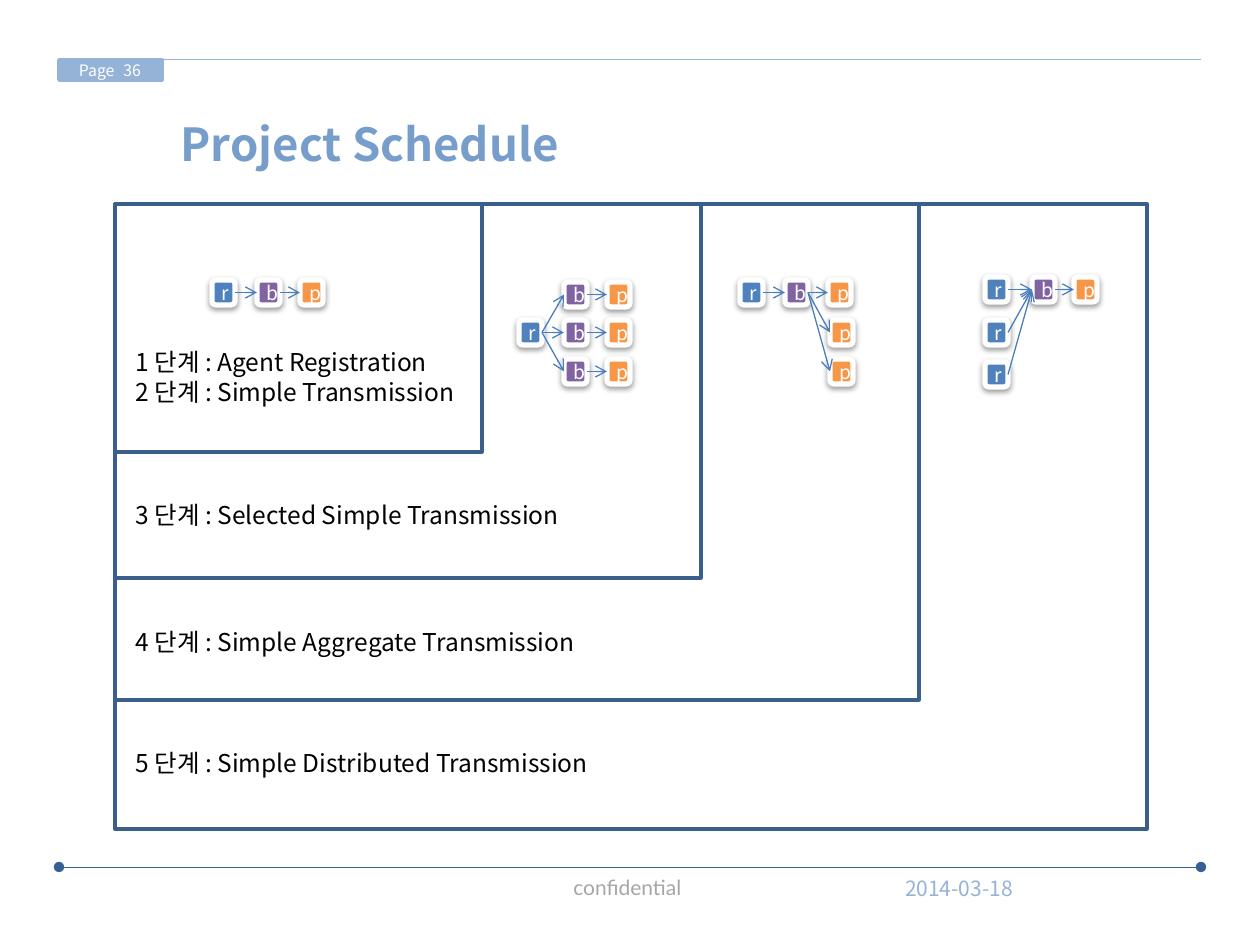
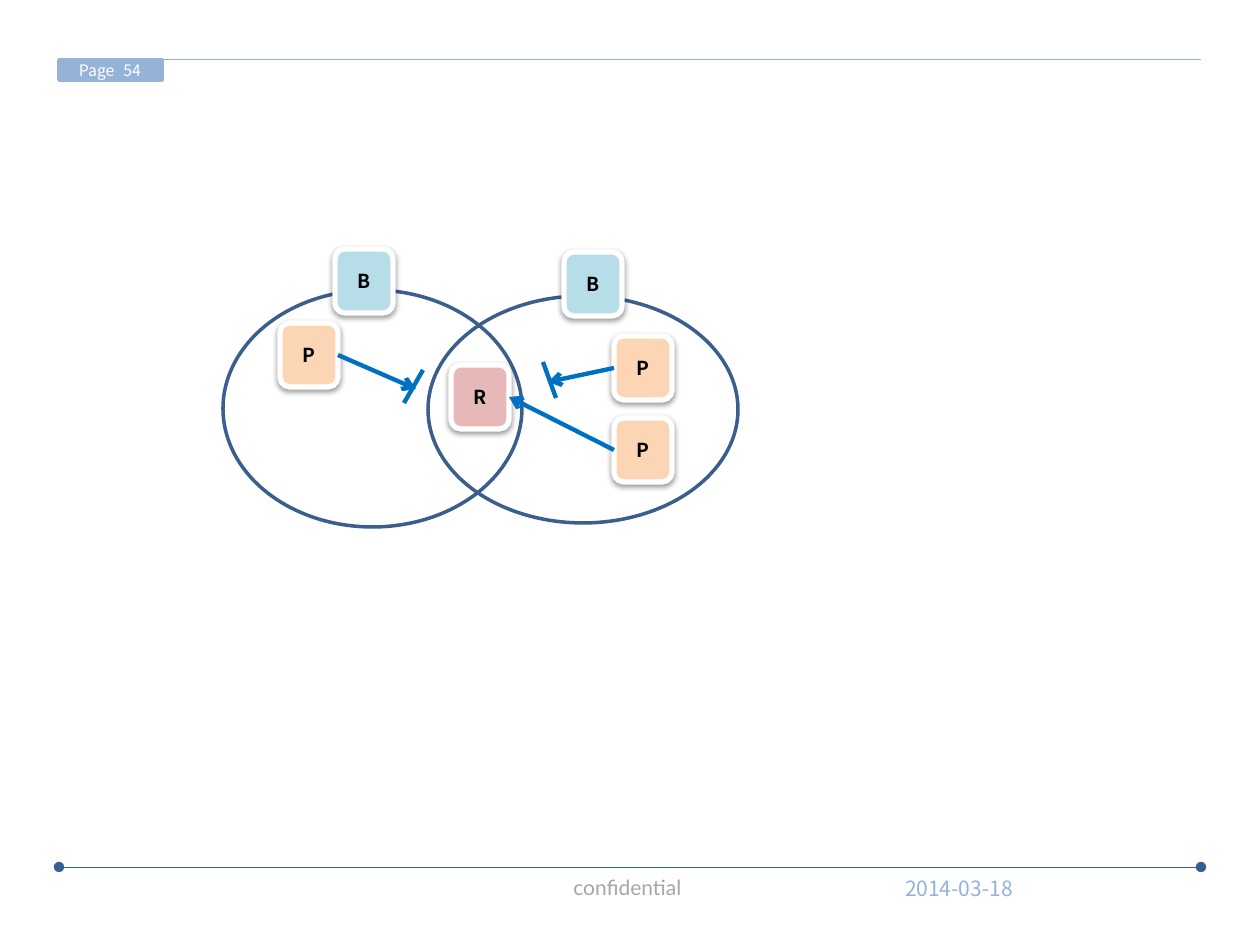
"""Build two slides: the project schedule and the overlapping broker areas."""
from itertools import product

from lxml import etree
from pptx import Presentation
from pptx.dml.color import RGBColor
from pptx.enum.shapes import MSO_CONNECTOR, MSO_SHAPE
from pptx.enum.text import MSO_ANCHOR, MSO_AUTO_SIZE, PP_ALIGN
from pptx.oxml.ns import qn
from pptx.util import Pt

RECT, ROUND, OVAL = MSO_SHAPE.RECTANGLE, MSO_SHAPE.ROUNDED_RECTANGLE, MSO_SHAPE.OVAL
STRAIGHT = MSO_CONNECTOR.STRAIGHT
TOP, MIDDLE = MSO_ANCHOR.TOP, MSO_ANCHOR.MIDDLE
LEFT, CENTER = PP_ALIGN.LEFT, PP_ALIGN.CENTER
FIXED = MSO_AUTO_SIZE.NONE
LSIDE, RSIDE = 1, 3

SCALE = 914400 / 126
SANS, LATO = "Noto Sans CJK KR", "Lato"
HEX = {
    "white": "FFFFFF", "black": "000000", "grey": "A6A6A6", "band": "95B3D7",
    "rule": "376092", "title": "779DCB", "frame": "3A5F8C", "wire": "4B7EBC",
    "bold": "0070C0", "r": "4F81BD", "b": "8064A2", "p": "F79646",
    "B": "B7DEE8", "R": "E6B9B8", "P": "FCD5B5",
}
SMALL, LARGE = (23, 25), (58, 64)
FRAMES = [(367, 248), (586, 374), (804, 496), (1032, 625)]
STAGES = [
    (341, 72, ["1 단계 : Agent Registration", "2 단계 : Simple Transmission"]),
    (493, 43, ["3 단계 : Selected Simple Transmission"]),
    (620, 43, ["4 단계 : Simple Aggregate Transmission"]),
    (741, 43, ["5 단계 : Simple Distributed Transmission"]),
]
FLOWS = [
    {"r": [(212, 280)], "b": [(257, 280)], "p": [(300, 280)]},
    {"r": [(519, 320)], "b": [(564, y) for y in (282, 320, 359)],
     "p": [(607, y) for y in (282, 320, 359)]},
    {"r": [(740, 280)], "b": [(785, 280)], "p": [(828, 280), (830, 320), (830, 359)]},
    {"r": [(985, y) for y in (277, 320, 362)], "b": [(1032, 277)], "p": [(1074, 277)]},
]


def px(*nums):
    """Turn px lengths into EMU."""
    return [round(n * SCALE) for n in nums]


def rgb(name):
    """Look up a colour by name."""
    return RGBColor.from_string(HEX[name])


def put(item, values):
    """Set each attribute in a dict of format values."""
    for key, value in values.items():
        setattr(item, key, value)


def write(frame, lines, size, color, font=SANS, bold=False, align=LEFT,
          space=None, **form):
    """Fill a text frame with one paragraph per line."""
    put(frame, {"word_wrap": True, "vertical_anchor": MIDDLE, **form})
    for i, line in enumerate(lines):
        para = frame.add_paragraph() if i else frame.paragraphs[0]
        put(para, {"alignment": align, "line_spacing": space})
        run = para.add_run()
        run.text = line
        put(run.font, {"size": Pt(size), "bold": bold, "name": font})
        run.font.color.rgb = rgb(color)
        rpr = run._r.get_or_add_rPr()
        rpr.find(qn("a:latin")).addnext(rpr.makeelement(qn("a:ea"), {"typeface": font}))


def label(slide, box, lines, size, color, **form):
    """Add a text box."""
    frame = slide.shapes.add_textbox(*px(*box)).text_frame
    write(frame, lines, size, color, **form)


def shape(slide, kind, box, line, width, fill=None):
    """Add a preset shape without a shadow."""
    item = slide.shapes.add_shape(kind, *px(*box))
    item.shadow.inherit = False
    if fill:
        item.fill.solid()
        item.fill.fore_color.rgb = rgb(fill)
    else:
        item.fill.background()
    item.line.color.rgb = rgb(line)
    item.line.width = Pt(width)
    return item


def tile(slide, name, spot, size, color, bold=False):
    """Add a rounded node with a white rim, a soft shadow and a letter."""
    item = shape(slide, ROUND, (*spot, *size), "white", 3, name)
    glow = etree.SubElement(
        item._element.spPr.find(qn("a:effectLst")), qn("a:outerShdw"),
        blurRad="40000", dist="20000", dir="5400000", rotWithShape="0")
    tint = etree.SubElement(glow, qn("a:srgbClr"), val=HEX["black"])
    etree.SubElement(tint, qn("a:alpha"), val="38000")
    write(item.text_frame, [name], 11, color, bold=bold, align=CENTER)
    return item


def wire(slide, start, end, color, width, **tips):
    """Add a straight line with optional headEnd and tailEnd tips."""
    line = slide.shapes.add_connector(STRAIGHT, *px(*start, *end))
    line.line.color.rgb = rgb(color)
    line.line.width = Pt(width)
    for tag, kind in tips.items():
        etree.SubElement(line.line._ln, qn("a:" + tag), type=kind)
    etree.SubElement(line._element.spPr, qn("a:effectLst"))
    return line


def flow(slide, nodes):
    """Draw columns of nodes and link each column to the next."""
    cols = [[tile(slide, name, spot, SMALL, "white") for spot in spots]
            for name, spots in nodes.items()]
    for froms, tos in zip(cols, cols[1:]):
        pair = zip if len(froms) == len(tos) else product
        for a, b in pair(froms, tos):
            line = wire(slide, (0, 0), (1, 1), "wire", 0.75, tailEnd="arrow")
            line.begin_connect(a, RSIDE)
            line.end_connect(b, LSIDE)


def base(deck, layout, page):
    """Add a slide with its page tag, rules and footer."""
    slide = deck.slides.add_slide(deck.slide_layouts[layout])
    label(slide, (885, 863, 148, 50), ["2014-03-18"], 12, "band", align=CENTER)
    label(slide, (561, 868, 137, 38), ["confidential"], 12, "grey", font=LATO,
          word_wrap=False, vertical_anchor=TOP)
    tag = shape(slide, RECT, (59, 60, 103, 20), "band", 2, "band")
    write(tag.text_frame, ["Page"], 9, "white", margin_left=px(20)[0])
    label(slide, (111, 45, 69, 50), [page], 9, "white")
    wire(slide, (59, 867), (1201, 867), "rule", 0.5, headEnd="oval", tailEnd="oval")
    wire(slide, (59, 59), (1201, 59), "band", 0.5)
    return slide


def plan(deck):
    """Build the schedule with its nested stages."""
    slide = base(deck, 5, "36")
    head = slide.shapes.title
    put(head, dict(zip(("left", "top", "width", "height"), px(168, 112, 1033, 62))))
    write(head.text_frame, ["Project Schedule"], 26, "title", bold=True, auto_size=FIXED)
    for nodes in FLOWS:
        flow(slide, nodes)
    for size in FRAMES:
        shape(slide, RECT, (115, 204, *size), "frame", 2)
    for top, high, lines in STAGES:
        label(slide, (123, top, 700, high), lines, 14, "black", space=Pt(17),
              vertical_anchor=TOP)


def areas(deck):
    """Build the two overlapping areas with their nodes."""
    slide = base(deck, 6, "54")
    for box in [(428, 296, 310, 227), (223, 290, 299, 237)]:
        shape(slide, OVAL, box, "frame", 2)

    def node(name, *spot):
        """Add a large node."""
        return tile(slide, name, spot, LARGE, "black", True)

    node("B", 564, 252)
    node("B", 335, 249)
    hub = node("R", 451, 365)
    low, high, west = node("P", 614, 418), node("P", 614, 336), node("P", 280, 323)
    for item, side, end in [(low, LSIDE, (509, 397)), (high, LSIDE, (548, 382)),
                            (west, RSIDE, (416, 389))]:
        line = wire(slide, (0, 0), end, "bold", 2.5, tailEnd="arrow")
        line.begin_connect(item, side)
        if item is low:
            line.end_connect(hub, RSIDE)
    for start, end in [((543, 362), (556, 398)), ((423, 370), (404, 403))]:
        wire(slide, start, end, "bold", 2.5)


def main():
    """Build and save the deck."""
    deck = Presentation()
    deck.slide_width, deck.slide_height = px(1260, 945)
    plan(deck)
    areas(deck)
    deck.save("out.pptx")


if __name__ == "__main__":
    main()
